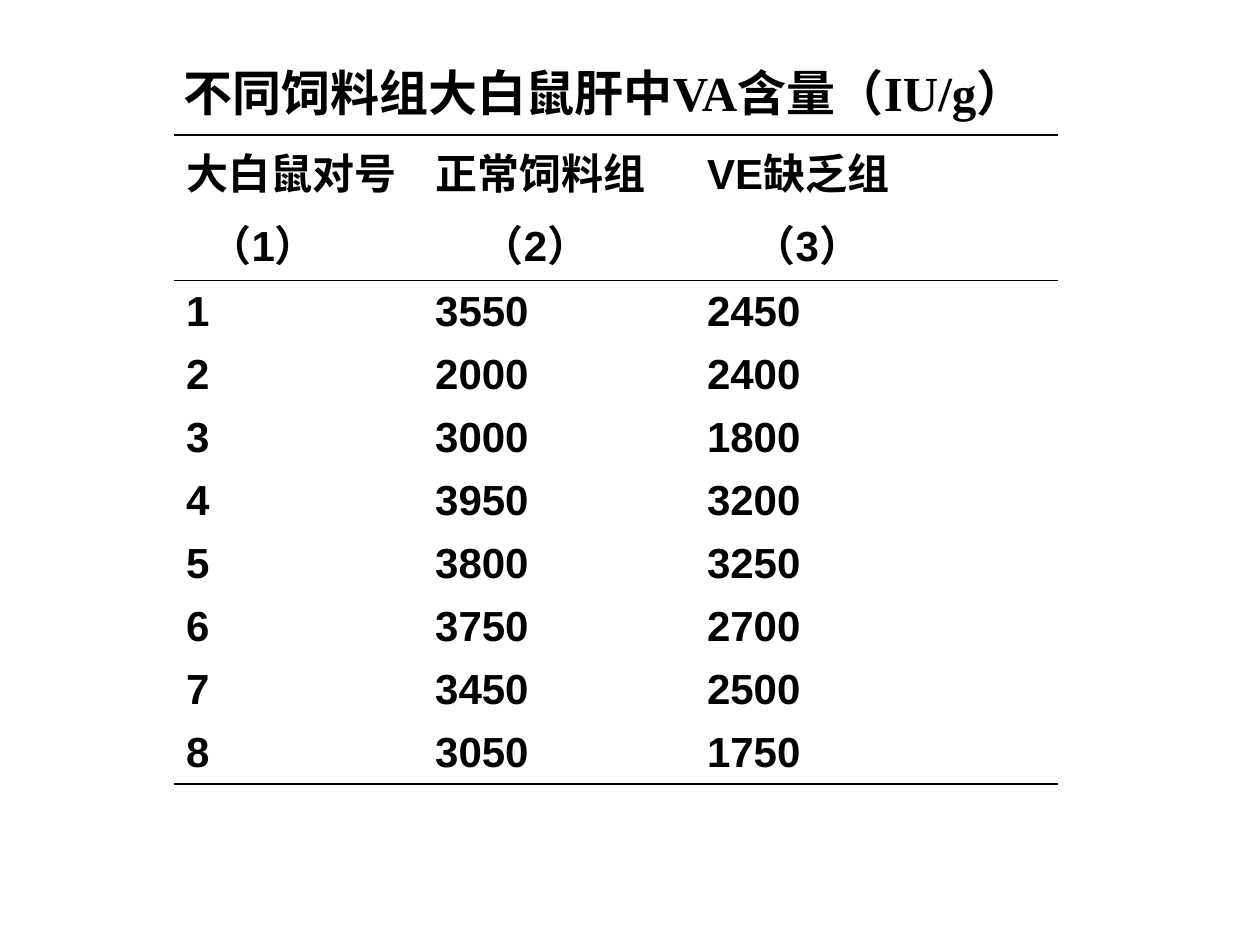
from lxml.etree import SubElement
from pptx import Presentation
from pptx.dml.color import RGBColor
from pptx.enum.text import MSO_ANCHOR as Anchor, MSO_AUTO_SIZE as AutoSize
from pptx.oxml.ns import qn
from pptx.util import Cm, Pt

BLACK = RGBColor(0, 0, 0)
THICK, THIN = Pt(1.08), Pt(0.45)

TITLE = "不同饲料组大白鼠肝中VA含量（IU/g）"
# Heading, column number, indent of the number
HEADERS = [
    ("大白鼠对号", "（1）", Cm(0.47)),
    ("正常饲料组", "（2）", Cm(0.94)),
    ("VE缺乏组", "（3）", Cm(0.94)),
]
NORMAL_FEED = [3550, 2000, 3000, 3950, 3800, 3750, 3450, 3050]
VE_DEFICIENT = [2450, 2400, 1800, 3200, 3250, 2700, 2500, 1750]

COLUMN_WIDTHS = [Cm(5.02), Cm(5.48), Cm(7.32)]
HEADER_HEIGHT, ROW_HEIGHT = Cm(2.52), Cm(1.27)


def write(paragraph, text, font="Arial", size=24, before=6, indent=0):
    """Put bold black text into a paragraph."""
    run = paragraph.add_run()
    run.text = text
    run.font.name = font
    run.font.size = Pt(size)
    run.font.bold = True
    run.font.color.rgb = BLACK
    paragraph.space_before = Pt(before)
    if indent:
        properties = paragraph._p.get_or_add_pPr()
        properties.set("marL", str(int(indent)))
        properties.set("indent", "0")


def set_borders(cell, top=None, bottom=None):
    """Draw the given horizontal rules and hide all other borders."""
    properties = cell._tc.get_or_add_tcPr()
    for side, width in (("L", None), ("R", None), ("T", top), ("B", bottom)):
        line = SubElement(properties, qn(f"a:ln{side}"), w=str(int(width or 0)))
        if width:
            fill = SubElement(line, qn("a:solidFill"))
            SubElement(fill, qn("a:srgbClr"), val=str(BLACK))
        else:
            SubElement(line, qn("a:noFill"))


def format_cell(cell, top=None, bottom=None):
    set_borders(cell, top, bottom)
    cell.fill.background()
    cell.vertical_anchor = Anchor.MIDDLE


def add_title(slide):
    box = slide.shapes.add_textbox(Cm(3.45), Cm(1.14), Cm(18.54), Cm(1.45))
    frame = box.text_frame
    frame.word_wrap = False
    frame.auto_size = AutoSize.SHAPE_TO_FIT_TEXT
    write(frame.paragraphs[0], TITLE, font="Times New Roman", size=28, before=0)


def add_data_table(slide):
    records = list(zip(range(1, len(NORMAL_FEED) + 1), NORMAL_FEED, VE_DEFICIENT))
    last = len(records)
    shape = slide.shapes.add_table(
        last + 1, len(HEADERS), Cm(3.5), Cm(2.72),
        sum(COLUMN_WIDTHS), HEADER_HEIGHT + last * ROW_HEIGHT)
    table = shape.table
    table.first_row = table.horz_banding = False
    for column, width in zip(table.columns, COLUMN_WIDTHS):
        column.width = width
    for row in table.rows:
        row.height = ROW_HEIGHT
    table.rows[0].height = HEADER_HEIGHT

    # Header row: heading with the column number below
    for index, (heading, number, indent) in enumerate(HEADERS):
        cell = table.cell(0, index)
        format_cell(cell, top=THICK, bottom=THIN)
        write(cell.text_frame.paragraphs[0], heading)
        write(cell.text_frame.add_paragraph(), number, indent=indent)

    # Data rows
    for row_index, record in enumerate(records, start=1):
        for index, value in enumerate(record):
            cell = table.cell(row_index, index)
            format_cell(cell, top=THIN if row_index == 1 else None,
                        bottom=THICK if row_index == last else None)
            write(cell.text_frame.paragraphs[0], str(value))


def main():
    presentation = Presentation()
    presentation.slide_width, presentation.slide_height = Cm(25.4), Cm(19.05)
    slide = presentation.slides.add_slide(presentation.slide_layouts[6])
    add_data_table(slide)
    add_title(slide)
    presentation.save("out.pptx")


if __name__ == "__main__":
    main()
